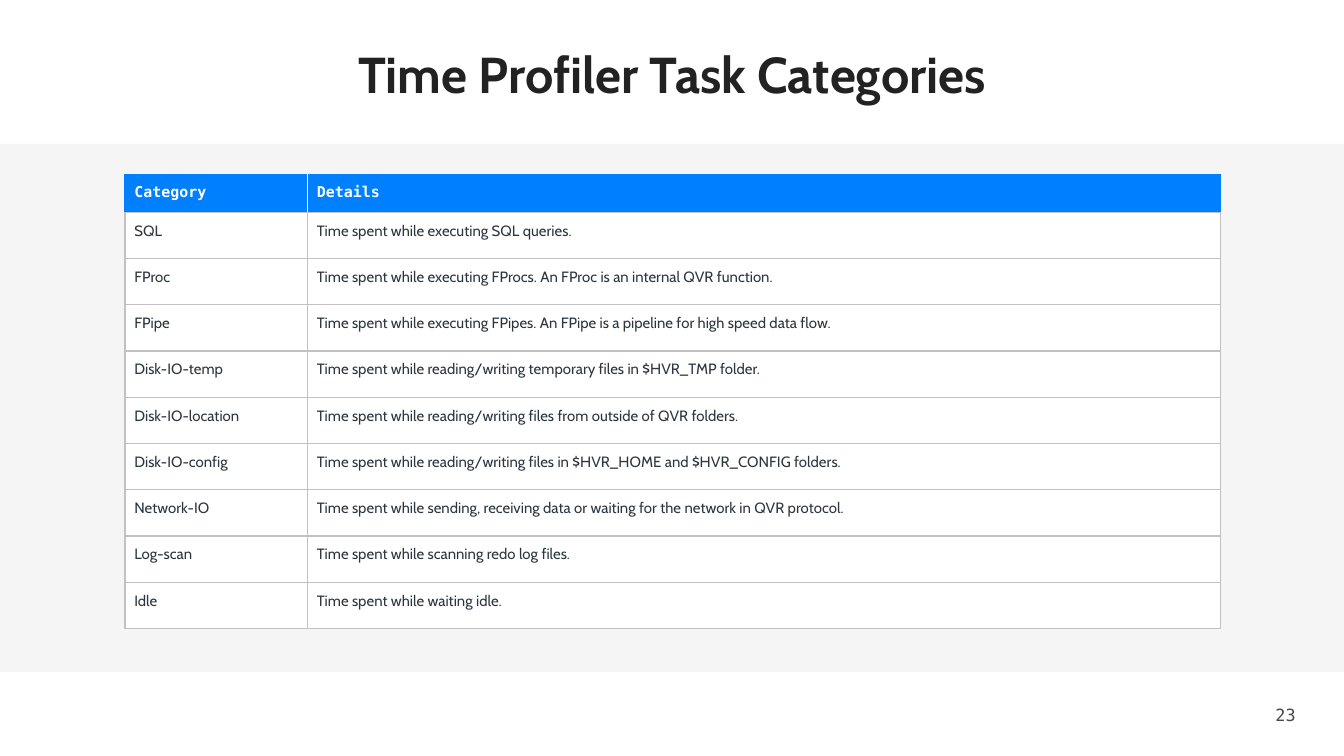
from lxml import etree
from pptx import Presentation, util as u
from pptx.dml.color import RGBColor
from pptx.enum import shapes, text
from pptx.oxml.ns import qn

WHITE = RGBColor(0xFF, 0xFF, 0xFF)
BAND = RGBColor(0xF5, 0xF5, 0xF5)
BLUE = RGBColor(0x00, 0x7F, 0xFF)
RULE = RGBColor(0xC1, 0xC1, 0xC1)
TITLE = RGBColor(0x22, 0x22, 0x22)
BODY = RGBColor(0x2B, 0x36, 0x40)
NUMBER = RGBColor(0x49, 0x49, 0x49)
SANS, MONO = "Cabin", "DejaVu Sans Mono"


def write(frame, words, *, size, font, color, bold=False,
          align=text.PP_ALIGN.LEFT, anchor=text.MSO_ANCHOR.TOP, inset=0):
    frame.word_wrap = True
    frame.vertical_anchor = anchor
    for side in ("left", "top", "right", "bottom"):
        setattr(frame, f"margin_{side}", u.Inches(inset))
    para = frame.paragraphs[0]
    para.alignment = align
    span = para.add_run()
    span.text = words
    span.font.size = u.Pt(size)
    span.font.name = font
    span.font.bold = bold
    span.font.color.rgb = color


def set_borders(cell, left, right, top, bottom):
    properties = cell._tc.get_or_add_tcPr()
    for tag, color in (("a:lnL", left), ("a:lnR", right), ("a:lnT", top), ("a:lnB", bottom)):
        line = etree.SubElement(properties, qn(tag), w=str(u.Pt(0.75)))
        fill = etree.SubElement(line, qn("a:solidFill"))
        etree.SubElement(fill, qn("a:srgbClr"), val=str(color))


# A 16:9 page
deck = Presentation()
deck.slide_width, deck.slide_height = u.Inches(10), u.Inches(10 * 9 / 16)
page = deck.slides.add_slide(deck.slide_layouts[6])

# Grey band behind the table
band = page.shapes.add_shape(shapes.MSO_SHAPE.RECTANGLE, u.Inches(0), u.Inches(1.07),
                             u.Inches(10), u.Inches(3.93))
band.shadow.inherit = False
band.fill.solid()
band.fill.fore_color.rgb = BAND
band.line.fill.background()

# Page number and title
number = page.shapes.add_textbox(u.Inches(9.39), u.Inches(5.16), u.Inches(0.25), u.Inches(0.31))
write(number.text_frame, "23", size=9, font=MONO, color=NUMBER,
      align=text.PP_ALIGN.RIGHT, anchor=text.MSO_ANCHOR.MIDDLE)
title = page.shapes.add_textbox(u.Inches(2.13), u.Inches(0.32), u.Inches(5.74), u.Inches(0.61))
write(title.text_frame, "Time Profiler Task Categories", size=27, font=SANS, color=TITLE,
      bold=True, align=text.PP_ALIGN.CENTER)

# Category table: the details span all columns but the first
entries = [
    ("Category", "Details"),
    ("SQL", "Time spent while executing SQL queries."),
    ("FProc", "Time spent while executing FProcs. An FProc is an internal QVR function."),
    ("FPipe", "Time spent while executing FPipes. An FPipe is a pipeline for high speed data flow."),
    ("Disk-IO-temp", "Time spent while reading/writing temporary files in $HVR_TMP folder."),
    ("Disk-IO-location", "Time spent while reading/writing files from outside of QVR folders."),
    ("Disk-IO-config",
     "Time spent while reading/writing files in $HVR_HOME and $HVR_CONFIG folders."),
    ("Network-IO",
     "Time spent while sending, receiving data or waiting for the network in QVR protocol."),
    ("Log-scan", "Time spent while scanning redo log files."),
    ("Idle", "Time spent while waiting idle."),
]
column_count, table_width = 6, 8.15
header_height, body_height = 0.28, 3.1
row_height = body_height / (len(entries) - 1)
table = page.shapes.add_table(len(entries), column_count, u.Inches(0.93), u.Inches(1.3),
                              u.Inches(table_width),
                              u.Inches(header_height + body_height)).table
for column in table.columns:
    column.width = u.Inches(table_width / column_count)

for row, entry in enumerate(entries):
    header = row == 0
    table.rows[row].height = u.Inches(header_height if header else row_height)
    table.cell(row, 1).merge(table.cell(row, column_count - 1))
    for column in range(column_count):
        cell = table.cell(row, column)
        if header:
            left, right = (BLUE, WHITE) if column == 0 else (WHITE, BLUE)
            set_borders(cell, left, right, BLUE, RULE)
        else:
            set_borders(cell, RULE, RULE, RULE, RULE)
        cell.fill.solid()
        cell.fill.fore_color.rgb = BLUE if header else WHITE
    for column, words in enumerate(entry):
        cell = table.cell(row, column)
        write(cell.text_frame, words, size=8, font=MONO if header else SANS,
              color=WHITE if header else BODY, bold=header)
        cell.margin_left = cell.margin_right = u.Inches(0.07)
        cell.margin_top = cell.margin_bottom = u.Inches(0.07)

deck.save("out.pptx")
